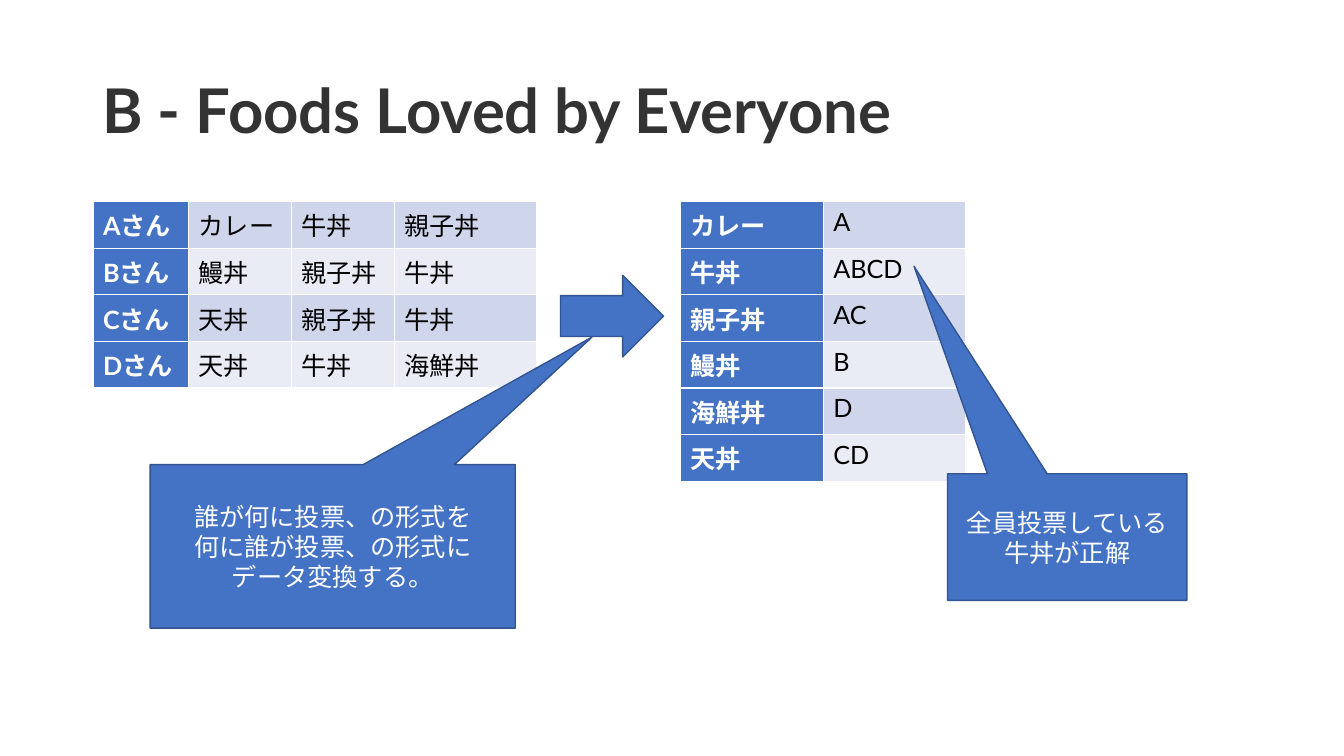
import pptx
import pptx.dml.color
import pptx.enum.shapes
import pptx.enum.text
import pptx.util

Pt = pptx.util.Pt
RGBColor = pptx.dml.color.RGBColor
Shape = pptx.enum.shapes.MSO_SHAPE
Align = pptx.enum.text.PP_ALIGN
Anchor = pptx.enum.text.MSO_ANCHOR

BLUE = RGBColor(0x44, 0x72, 0xC4)
DARK_BLUE = RGBColor(0x32, 0x54, 0x91)
BAND_DARK = RGBColor(0xCF, 0xD5, 0xEA)
BAND_LIGHT = RGBColor(0xE9, 0xEB, 0xF5)
WHITE = RGBColor(0xFF, 0xFF, 0xFF)
BLACK = RGBColor(0, 0, 0)
TITLE_GREY = RGBColor(0x33, 0x33, 0x33)
ROW_HEIGHT = 29.2


def set_font(paragraph, size, color, bold=False):
    paragraph.font.name = "Lato"
    paragraph.font.size = Pt(size)
    paragraph.font.color.rgb = color
    paragraph.font.bold = bold


def add_blue_shape(kind, left, top, width, height, adjustments=(), lines=()):
    shape = slide.shapes.add_shape(kind, Pt(left), Pt(top), Pt(width), Pt(height))
    shape.shadow.inherit = False
    shape.fill.solid()
    shape.fill.fore_color.rgb = BLUE
    shape.line.color.rgb = DARK_BLUE
    shape.line.width = Pt(1)
    for index, value in enumerate(adjustments):
        shape.adjustments[index] = value
    if lines:
        text_frame = shape.text_frame
        text_frame.word_wrap = True
        text_frame.vertical_anchor = Anchor.MIDDLE
        text_frame.text = "\n".join(lines)
        for paragraph in text_frame.paragraphs:
            paragraph.alignment = Align.CENTER
            set_font(paragraph, 18, WHITE)


presentation = pptx.Presentation()
presentation.slide_width = Pt(960)
presentation.slide_height = Pt(540)
slide = presentation.slides.add_slide(presentation.slide_layouts[5])

title = slide.shapes.title
title.left, title.top, title.width, title.height = Pt(66), Pt(28.8), Pt(828), Pt(104.4)
title.text_frame.text = "B - Foods Loved by Everyone"
title.text_frame.auto_size = pptx.enum.text.MSO_AUTO_SIZE.NONE
title.text_frame.vertical_anchor = Anchor.MIDDLE
title_paragraph = title.text_frame.paragraphs[0]
title_paragraph.alignment = Align.LEFT
title_paragraph.line_spacing = 0.9
set_font(title_paragraph, 44, TITLE_GREY, bold=True)

votes_by_person = [
    ("Aさん", "カレー", "牛丼", "親子丼"),
    ("Bさん", "鰻丼", "親子丼", "牛丼"),
    ("Cさん", "天丼", "親子丼", "牛丼"),
    ("Dさん", "天丼", "牛丼", "海鮮丼"),
]
voters_by_food = [
    ("カレー", "A"),
    ("牛丼", "ABCD"),
    ("親子丼", "AC"),
    ("鰻丼", "B"),
    ("海鮮丼", "D"),
    ("天丼", "CD"),
]
tables = [
    (66.4, (68.4, 73.4, 73.4, 102), votes_by_person),
    (486, (102, 102), voters_by_food),
]
for left, column_widths, rows in tables:
    table = slide.shapes.add_table(
        len(rows), len(column_widths), Pt(left), Pt(144),
        Pt(sum(column_widths)), Pt(ROW_HEIGHT * len(rows)),
    ).table
    table.first_row = False
    table.first_col = True
    for column, width in zip(table.columns, column_widths):
        column.width = Pt(width)
    for row_index, row in enumerate(rows):
        band = BAND_LIGHT if row_index % 2 else BAND_DARK
        for column_index, text in enumerate(row):
            is_header = column_index == 0
            cell = table.cell(row_index, column_index)
            cell.fill.solid()
            cell.fill.fore_color.rgb = BLUE if is_header else band
            cell.text = text
            set_font(cell.text_frame.paragraphs[0], 18,
                     WHITE if is_header else BLACK, bold=is_header)

add_blue_shape(Shape.RECTANGULAR_CALLOUT, 676.8, 338.4, 171, 90.4,
               (-0.64, -2.14), ["全員投票している牛丼が正解"])
add_blue_shape(Shape.RIGHT_ARROW, 400.4, 196.6, 73.6, 58.4)
add_blue_shape(Shape.RECTANGULAR_CALLOUT, 107.3, 331.9, 260.8, 116.8, (0.71, -1.28),
               ["誰が何に投票、の形式を", "何に誰が投票、の形式に", "データ変換する。"])

presentation.save("out.pptx")
